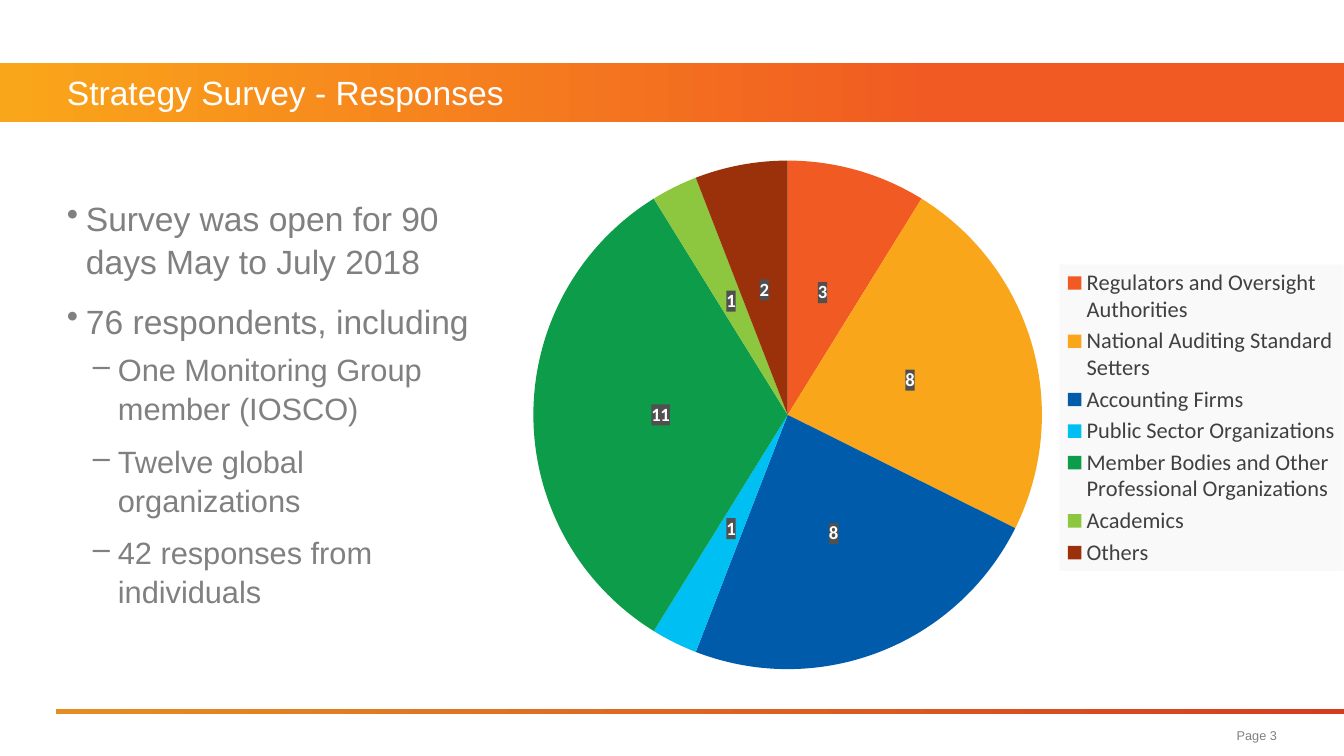
from lxml import etree
from pptx import Presentation
from pptx import util as u
from pptx.chart.data import CategoryChartData
from pptx.dml.color import RGBColor
from pptx.enum import chart as ch, shapes, text
from pptx.oxml import ns

PX = 914400 / 134.4
WHITE = RGBColor(0xFF, 0xFF, 0xFF)
GREY = RGBColor(0x80, 0x80, 0x80)
DARK = RGBColor(0x40, 0x40, 0x40)
AMBER = RGBColor(0xFA, 0xA6, 0x1A)
ORANGE = RGBColor(0xF1, 0x5A, 0x22)
RULE_LEFT = RGBColor(0xE5, 0x8D, 0x23)
RULE_RIGHT = RGBColor(0xD5, 0x3D, 0x20)


def box(*px):
    """Turn left, top, width and height in px into EMU."""
    return [round(v * PX) for v in px]


def write(p, words, size=18, color=GREY, align=None, bullet=None, indent=0,
          hang=0, before=0, after=0, spacing=None):
    p.alignment = align
    p.space_before, p.space_after = u.Pt(before), u.Pt(after)
    if spacing:
        p.line_spacing = spacing
    if bullet:
        pPr = p._p.get_or_add_pPr()
        pPr.set("marL", str(round(indent * PX)))
        pPr.set("indent", str(round(-hang * PX)))
        etree.SubElement(pPr, ns.qn("a:buChar")).set("char", bullet)
    r = p.add_run()
    r.text = words
    r.font.name, r.font.size = "Arial", u.Pt(size)
    r.font.color.rgb = color


prs = Presentation()
prs.slide_width, prs.slide_height = box(1344, 756)[:2]
s = prs.slides.add_slide(prs.slide_layouts[6])

# Title band and footer rule
for area, start, end, stop in (
    ((0, 63, 1344, 59), AMBER, ORANGE, 0.7),
    ((56, 709, 1288, 5), RULE_LEFT, RULE_RIGHT, 1),
):
    sp = s.shapes.add_shape(shapes.MSO_SHAPE.RECTANGLE, *box(*area))
    sp.shadow.inherit = False
    sp.line.fill.background()
    sp.fill.gradient()
    sp.fill.gradient_angle = 0
    stops = sp.fill.gradient_stops
    stops[0].color.rgb, stops[0].position = start, 0
    stops[1].color.rgb, stops[1].position = end, stop

# Title, page number and body
MIDDLE, TOP = text.MSO_ANCHOR.MIDDLE, text.MSO_ANCHOR.TOP
frames = []
for area, anchor in (
    ((67, 63, 1210, 59), MIDDLE),
    ((871, 718, 406, 34), MIDDLE),
    ((67, 196, 421, 438), TOP),
):
    tf = s.shapes.add_textbox(*box(*area)).text_frame
    tf.word_wrap = True
    tf.vertical_anchor = anchor
    tf.margin_left = tf.margin_top = tf.margin_right = tf.margin_bottom = 0
    frames.append(tf)
title, page, body = frames
write(title.paragraphs[0], "Strategy Survey - Responses", color=WHITE)
write(page.paragraphs[0], "Page 3", size=6.8, align=text.PP_ALIGN.RIGHT)

main = dict(bullet="•", indent=19, hang=19, spacing=1.06)
sub = dict(size=16.5, bullet="–", indent=51, hang=25, before=4.5, after=3,
           spacing=1.05)
write(body.paragraphs[0], "Survey was open for 90 days May to July 2018", **main)
write(body.add_paragraph(), "76 respondents, including", before=9, **main)
for words in (
    "One Monitoring Group member (IOSCO)",
    "Twelve global organizations",
    "42 responses from individuals",
):
    write(body.add_paragraph(), words, **sub)

# Pie of responses by group
responses = (
    ("Regulators and Oversight Authorities", 3, ORANGE),
    ("National Auditing Standard Setters", 8, AMBER),
    ("Accounting Firms", 8, RGBColor(0x00, 0x5B, 0xAA)),
    ("Public Sector Organizations", 1, RGBColor(0x00, 0xC0, 0xF3)),
    ("Member Bodies and Other Professional Organizations", 11,
     RGBColor(0x0D, 0x9C, 0x4A)),
    ("Academics", 1, RGBColor(0x8D, 0xC6, 0x3F)),
    ("Others", 2, RGBColor(0x9B, 0x31, 0x0A)),
)
groups, counts, colors = zip(*responses)
data = CategoryChartData()
data.categories = groups
data.add_series("Series 1", counts)
chart = s.shapes.add_chart(
    ch.XL_CHART_TYPE.PIE, *box(516, 126, 836, 578), data).chart
chart.has_title = False
chart.font.name, chart.font.size = "Calibri", u.Pt(10)
plot = chart.plots[0]
plot.vary_by_categories = True
for i, color in enumerate(colors):
    fmt = plot.series[0].points[i].format
    fmt.fill.solid()
    fmt.fill.fore_color.rgb = color
    fmt.line.fill.background()

labels = plot.series[0].data_labels
labels.show_value = True
labels.position = ch.XL_LABEL_POSITION.CENTER
chart.has_legend = True
legend = chart.legend
legend.position = ch.XL_LEGEND_POSITION.RIGHT
legend.include_in_layout = False
for part, size, color, bold, back in (
    (labels, 10, WHITE, True, "505050"),
    (legend, 12, DARK, False, "F9F9F9"),
):
    part.font.name, part.font.size = "Calibri", u.Pt(size)
    part.font.bold, part.font.color.rgb = bold, color
    spPr = etree.Element(ns.qn("c:spPr"))
    fill = etree.SubElement(spPr, ns.qn("a:solidFill"))
    etree.SubElement(fill, ns.qn("a:srgbClr")).set("val", back)
    part._element.find(ns.qn("c:txPr")).addprevious(spPr)

# Fixed places for the pie and its legend, as shares of the chart
plot_area = chart._chartSpace.chart.plotArea
for parent, index, target, place in (
    (plot_area, 0, "inner", (0.02, 0.06, 0.61, 0.88)),
    (legend._element, 1, None, (0.65, 0.24, 0.34, 0.53)),
):
    for old in parent.findall(ns.qn("c:layout")):
        parent.remove(old)
    layout = etree.Element(ns.qn("c:layout"))
    manual = etree.SubElement(layout, ns.qn("c:manualLayout"))
    if target:
        etree.SubElement(manual, ns.qn("c:layoutTarget")).set("val", target)
    for tag in ("xMode", "yMode"):
        etree.SubElement(manual, ns.qn("c:" + tag)).set("val", "edge")
    for tag, share in zip("xywh", place):
        etree.SubElement(manual, ns.qn("c:" + tag)).set("val", str(share))
    parent.insert(index, layout)

prs.save("out.pptx")
